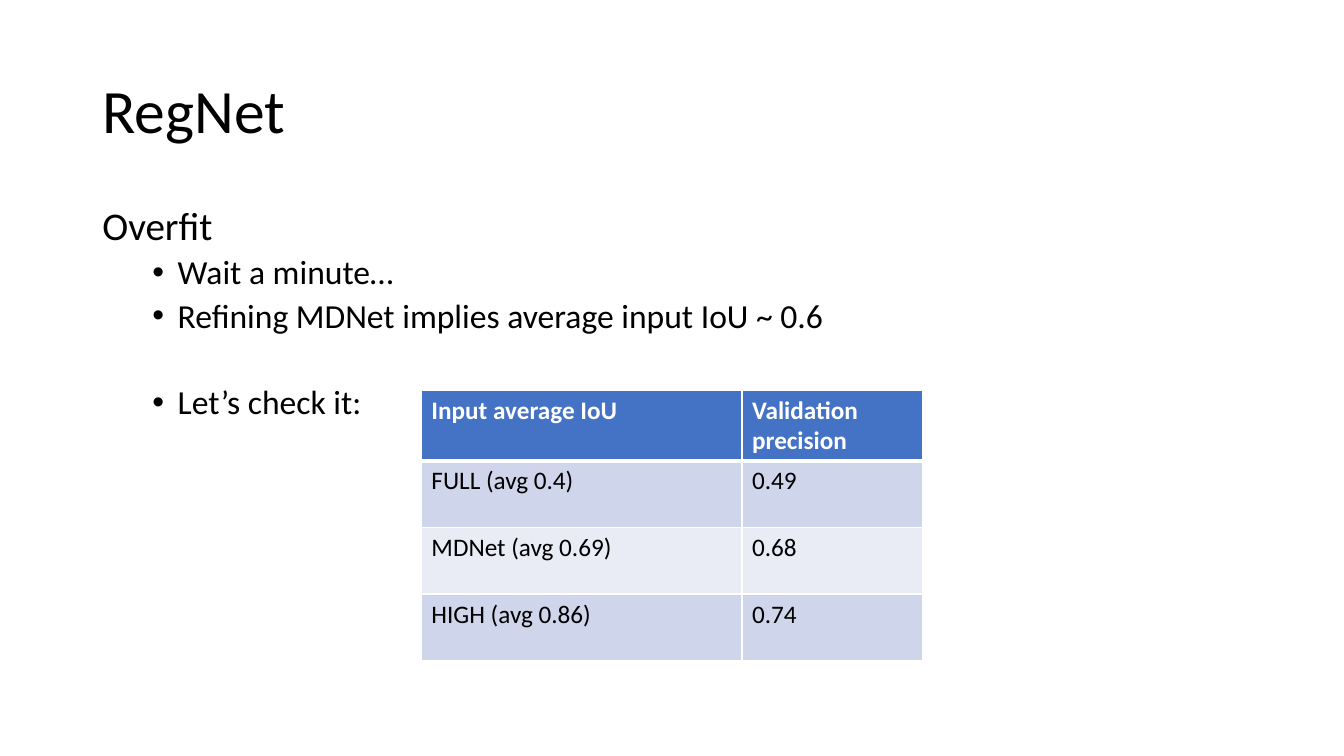
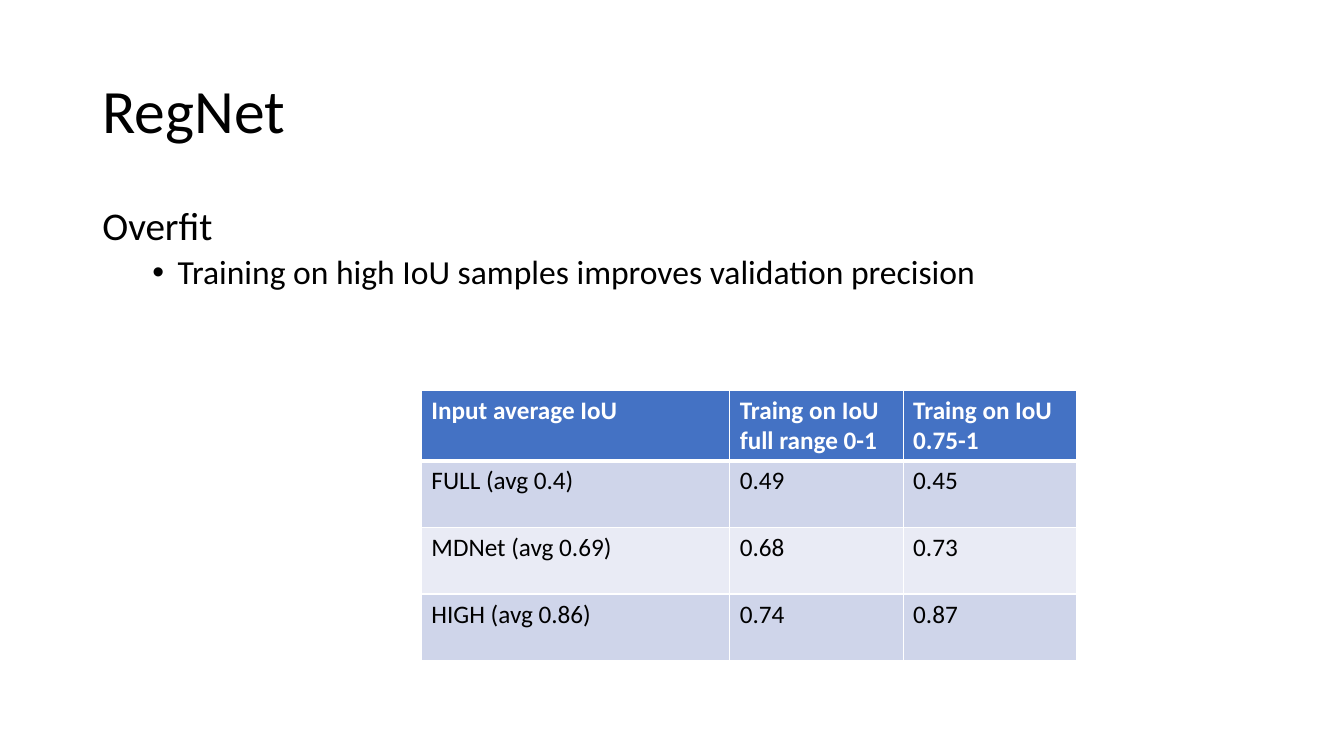
from lxml.etree import SubElement
from pptx import Presentation
from pptx.dml.color import RGBColor
from pptx.enum.text import MSO_ANCHOR
from pptx.oxml.ns import qn
from pptx.util import Cm, Pt


class Deck:
    colors = {
        "text": "000000",
        "header": "4472C4",
        "header_text": "FFFFFF",
        "border": "FFFFFF",
        "odd_row": "CFD5EA",
        "even_row": "E9EBF5",
    }
    font_name = "Calibri"
    left, width = Cm(2.33), Cm(29.21)

    def __init__(self):
        self.presentation = Presentation()
        self.presentation.slide_width = Cm(33.87)
        self.presentation.slide_height = Cm(19.05)
        self.slide = None

    def color(self, name):
        return RGBColor.from_string(self.colors[name])

    def set_font(self, paragraph, size, color="text", bold=False):
        font = paragraph.font
        font.name, font.size, font.bold = self.font_name, Pt(size), bold
        font.color.rgb = self.color(color)

    def add_slide(self, title):
        self.slide = self.presentation.slides.add_slide(self.presentation.slide_layouts[6])
        frame = self.add_text_frame(Cm(1.01), Cm(3.68), MSO_ANCHOR.MIDDLE)
        self.set_text(frame.paragraphs[0], title, 44)

    def add_text_frame(self, top, height, anchor=MSO_ANCHOR.TOP):
        frame = self.slide.shapes.add_textbox(self.left, top, self.width, height).text_frame
        frame.word_wrap = True
        frame.vertical_anchor = anchor
        return frame

    def set_text(self, paragraph, text, size):
        paragraph.text = text
        paragraph.line_spacing = 0.9
        self.set_font(paragraph, size)

    def add_body(self, heading, bullets):
        frame = self.add_text_frame(Cm(5.08), Cm(12.09))
        self.set_text(frame.paragraphs[0], heading, 28)
        for text, space_before in bullets:
            paragraph = frame.add_paragraph()
            self.add_bullet(paragraph)
            self.set_text(paragraph, text, 24)
            paragraph.space_before = Pt(space_before)

    def add_bullet(self, paragraph):
        properties = paragraph._p.get_or_add_pPr()
        properties.set("marL", str(Cm(1.9)))
        properties.set("indent", str(Cm(-0.64)))
        SubElement(properties, qn("a:buFont"), typeface="Arial")
        SubElement(properties, qn("a:buChar"), char="•")

    def add_table(self, column_widths, rows):
        row_height = Cm(1.68)
        table = self.slide.shapes.add_table(
            len(rows), len(column_widths), Cm(10.62), Cm(9.83),
            Cm(sum(column_widths)), row_height * len(rows),
        ).table
        for column, width in zip(table.columns, column_widths):
            column.width = Cm(width)
        for row_index, values in enumerate(rows):
            for column_index, value in enumerate(values):
                self.fill_cell(table.cell(row_index, column_index), value, row_index)

    def fill_cell(self, cell, value, row_index):
        is_header = row_index == 0
        self.add_borders(cell, top=3 if row_index == 1 else 1, bottom=3 if is_header else 1)
        row_color = "odd_row" if row_index % 2 else "even_row"
        cell.fill.solid()
        cell.fill.fore_color.rgb = self.color("header" if is_header else row_color)
        cell.text = value
        self.set_font(cell.text_frame.paragraphs[0], 18,
                      "header_text" if is_header else "text", is_header)

    def add_borders(self, cell, top, bottom):
        properties = cell._tc.get_or_add_tcPr()
        for side, points in (("L", 1), ("R", 1), ("T", top), ("B", bottom)):
            line = SubElement(properties, qn(f"a:ln{side}"), w=str(Pt(points)))
            fill = SubElement(line, qn("a:solidFill"))
            SubElement(fill, qn("a:srgbClr"), val=self.colors["border"])


def main():
    deck = Deck()
    inputs = ("FULL (avg 0.4)", "MDNet (avg 0.69)", "HIGH (avg 0.86)")
    full_range = ("0.49", "0.68", "0.74")
    high_range = ("0.45", "0.73", "0.87")

    deck.add_slide("RegNet")
    deck.add_body("Overfit", [
        ("Wait a minute…", 5),
        ("Refining MDNet implies average input IoU ~ 0.6", 5),
        ("Let’s check it:", 36),
    ])
    deck.add_table((8.08, 4.54), [
        ("Input average IoU", "Validation precision"),
        *zip(inputs, full_range),
    ])

    deck.add_slide("RegNet")
    deck.add_body("Overfit", [
        ("Training on high IoU samples improves validation precision", 5),
    ])
    deck.add_table((7.77, 4.37, 4.37), [
        ("Input average IoU", "Traing on IoU full range 0-1", "Traing on IoU 0.75-1"),
        *zip(inputs, full_range, high_range),
    ])

    deck.presentation.save("out.pptx")


if __name__ == "__main__":
    main()
